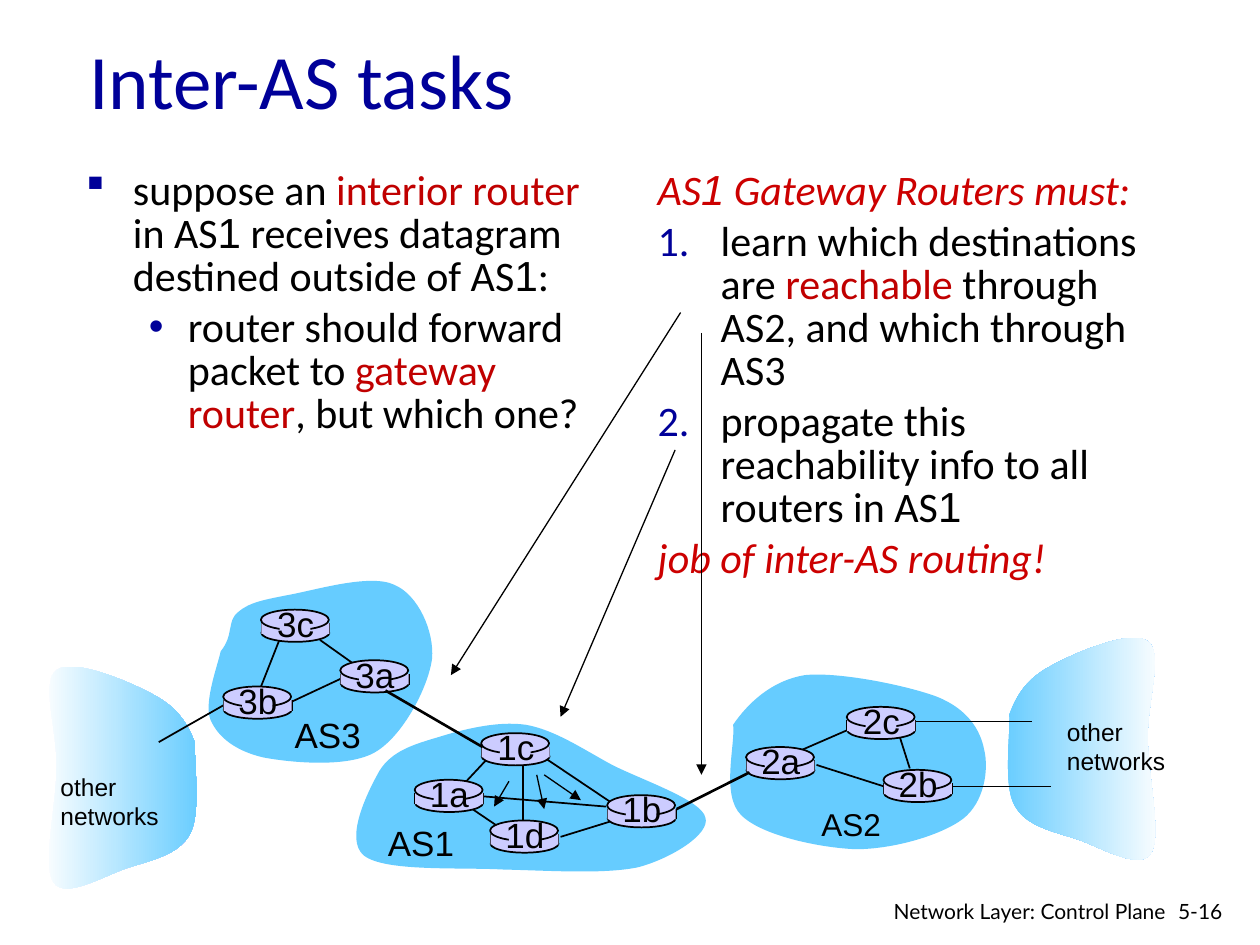
from lxml import etree
from pptx import Presentation
from pptx import util as u
from pptx.dml.color import RGBColor
from pptx.enum import shapes, text
from pptx.oxml.ns import qn

BLACK, NAVY, RED, CRIMSON = "000000", "000099", "C00000", "CC0000"
SKY, LILAC, WHITE = "66CCFF", "CCCCFF", "FFFFFF"

OTHER = [(20.35, 14.4), (20.5, 14), (20.7, 13.69), (21.16, 13.44),
         (21.62, 13.18), (22.81, 12.67), (23.14, 12.93),
         (23.47, 13.16), (23.11, 14.2), (23.14, 14.91),
         (23.14, 15.65), (23.44, 16.89), (23.19, 17.22),
         (22.96, 17.55), (22.17, 17.07), (21.72, 16.92),
         (21.23, 16.76), (20.68, 16.66), (20.45, 16.23),
         (20.22, 15.82), (20.37, 14.78), (20.35, 14.4)]
AS1 = [(7.65, 15.54), (7.9, 15.14), (8.33, 15.01), (8.84, 14.86),
       (9.32, 14.71), (10.01, 14.53), (10.59, 14.61),
       (11.18, 14.71), (11.73, 15.09), (12.34, 15.42),
       (12.93, 15.72), (14.15, 16.13), (14.22, 16.48),
       (14.33, 16.81), (13.54, 17.3), (12.88, 17.48),
       (12.19, 17.63), (11.07, 17.55), (10.16, 17.53),
       (9.25, 17.48), (7.77, 17.58), (7.34, 17.25),
       (6.93, 16.92), (7.42, 15.95), (7.65, 15.54)]
AS2 = [(14.78, 14.61), (15.06, 14.2), (15.54, 13.72), (16.23, 13.61),
       (16.92, 13.54), (18.29, 13.82), (18.9, 14.05),
       (19.51, 14.3), (19.76, 14.71), (19.84, 15.11),
       (19.94, 15.52), (19.84, 16.18), (19.41, 16.51),
       (18.97, 16.84), (18.01, 17.12), (17.25, 17.12),
       (16.51, 17.09), (15.34, 16.84), (14.94, 16.43),
       (14.53, 16.03), (14.83, 14.99), (14.78, 14.61)]
AS3 = [(4.45, 13.13), (4.72, 12.8), (4.57, 12.52), (4.8, 12.34),
       (5.03, 12.14), (5.33, 12.09), (5.84, 11.99),
       (6.38, 11.89), (7.47, 11.56), (7.95, 11.79),
       (8.43, 11.99), (8.76, 12.73), (8.71, 13.28),
       (8.64, 13.84), (8.13, 14.83), (7.57, 15.16),
       (7.01, 15.49), (5.84, 15.37), (5.31, 15.27),
       (4.75, 15.14), (4.39, 14.86), (4.24, 14.5),
       (4.11, 14.15), (4.39, 13.41), (4.45, 13.13)]

ROUTERS = {"3b": (4.5, 13.84), "3c": (5.26, 12.29), "3a": (6.86, 13.31),
           "1c": (9.7, 14.78), "1a": (8.36, 15.72), "1d": (9.88, 16.54),
           "1b": (12.24, 16.03), "2a": (15.04, 15.06), "2c": (17.07, 14.25),
           "2b": (17.81, 15.52)}
INNER_LINKS = [(5.87, 14.15, 6.96, 13.64), (7.14, 13.39, 6.45, 12.9),
               (5.64, 12.88, 5.23, 13.92), (9.83, 15.29, 9.4, 15.75),
               (10.54, 15.39, 10.54, 16.66), (10.97, 15.27, 12.37, 16.21),
               (12.37, 16.54, 11.3, 16.87), (12.22, 16.26, 9.7, 16.05),
               (9.45, 16.26, 10.01, 16.64), (15.95, 15.21, 17.17, 14.68),
               (16.46, 15.42, 17.81, 15.85), (18.14, 14.86, 18.34, 15.49),
               (4.5, 14.22, 3.2, 14.96)]
OUTER_LINKS = [(18.44, 14.55, 20.8, 14.55), (19.13, 15.85, 21.18, 15.85)]
GATEWAY_LINKS = [(13.64, 16.31, 15.11, 15.57), (7.77, 13.92, 9.73, 15.06)]
ARROWS = [(13.72, 6.3, 9.09, 13.61), (14.14, 6.71, 14.14, 15.62),
          (10.97, 15.62, 11.71, 16.13), (10.26, 15.75, 9.96, 16.26),
          (10.82, 15.62, 10.97, 16.31), (13.61, 9.07, 11.3, 14.45)]


def color(code):
    return RGBColor.from_string(code)


def style_span(span, size, font, code, italic=False):
    span.font.size, span.font.name = u.Pt(size), font
    span.font.color.rgb, span.font.italic = color(code), italic


def add_box(page, left, top, width, height, wrap=True):
    box = page.shapes.add_textbox(*map(u.Cm, (left, top, width, height)))
    box.text_frame.word_wrap = wrap
    if not wrap:
        box.text_frame.auto_size = text.MSO_AUTO_SIZE.SHAPE_TO_FIT_TEXT
    return box


def add_label(page, words, place, size, font="Arial", code=BLACK, align=None, wrap=False):
    box = add_box(page, *place, wrap)
    box.text_frame.text = words
    for para in box.text_frame.paragraphs:
        para.alignment = align
        style_span(para.runs[0], size, font, code)
    return box


def add_bullet(para, mark):
    props = para._p.get_or_add_pPr()
    tint = etree.SubElement(props, qn("a:buClr"))
    etree.SubElement(tint, qn("a:srgbClr")).set("val", NAVY)
    if mark == "1.":
        etree.SubElement(props, qn("a:buAutoNum")).set("type", "arabicPeriod")
    else:
        font = "Wingdings" if mark == "§" else "Arial"
        etree.SubElement(props, qn("a:buFont")).set("typeface", font)
        etree.SubElement(props, qn("a:buChar")).set("char", mark)


def add_body(page, place, items):
    frame = add_box(page, *place).text_frame
    for index, (mark, margin, hang, italic, spans) in enumerate(items):
        para = frame.add_paragraph() if index else frame.paragraphs[0]
        para.line_spacing = 0.85
        if index:
            para.space_before = u.Pt(4.8)
        props = para._p.get_or_add_pPr()
        props.set("marL", str(u.Cm(margin)))
        props.set("indent", str(-u.Cm(hang)))
        if mark:
            add_bullet(para, mark)
        for words, code in spans:
            span = para.add_run()
            span.text = words
            style_span(span, 24, "Arial" if words == "1" else "Calibri", code, italic)


def bend_segments(cloud):
    corners = list(cloud._element.iter(qn("a:lnTo")))
    for start in range(0, len(corners), 3):
        group = corners[start:start + 3]
        curve = etree.Element(qn("a:cubicBezTo"))
        group[0].addprevious(curve)
        for corner in group:
            curve.append(corner[0])
            corner.getparent().remove(corner)


def add_cloud(page, nodes, fade=None):
    points = [(u.Cm(x), u.Cm(y)) for x, y in nodes]
    builder = page.shapes.build_freeform(*points[0])
    builder.add_line_segments(points[1:], close=True)
    cloud = builder.convert_to_shape()
    bend_segments(cloud)
    cloud.shadow.inherit = False
    cloud.line.fill.background()
    if fade:
        cloud.fill.gradient()
        cloud.fill.gradient_angle = 0
        for stop, position, code in zip(cloud.fill.gradient_stops, (0, 1), fade):
            stop.position, stop.color.rgb = position, color(code)
    else:
        cloud.fill.solid()
        cloud.fill.fore_color.rgb = color(SKY)


def add_line(page, ends, width, arrow=False):
    line = page.shapes.add_connector(shapes.MSO_CONNECTOR.STRAIGHT, *map(u.Cm, ends))
    line.line.color.rgb, line.line.width = color(BLACK), u.Pt(width)
    if arrow:
        etree.SubElement(line.line._get_or_add_ln(), qn("a:tailEnd")).set("type", "triangle")
    etree.SubElement(line._element.spPr, qn("a:effectLst"))


def add_part(page, kind, place, outlined):
    part = page.shapes.add_shape(kind, *map(u.Cm, place))
    part.shadow.inherit = False
    part.fill.solid()
    part.fill.fore_color.rgb = color(LILAC)
    if outlined:
        part.line.color.rgb, part.line.width = color(BLACK), u.Pt(1)
    else:
        part.line.fill.background()


def add_router(page, name, x, y):
    oval, block = shapes.MSO_SHAPE.OVAL, shapes.MSO_SHAPE.RECTANGLE
    add_part(page, oval, (x + 0.01, y + 0.29, 1.37, 0.36), True)
    for side in (x + 0.01, x + 1.38):
        add_line(page, (side, y + 0.27, side, y + 0.49), 1)
    add_part(page, block, (x + 0.01, y + 0.27, 1.37, 0.22), False)
    add_part(page, oval, (x, y, 1.37, 0.41), True)
    add_part(page, block, (x + 0.38, y + 0.05, 0.62, 0.54), False)
    add_label(page, name, (x + 0.05, y - 0.27, 1.3, 1.09), 20, align=text.PP_ALIGN.CENTER)


def main():
    deck = Presentation()
    deck.slide_width, deck.slide_height = u.Cm(25.4), u.Cm(19.05)
    page = deck.slides.add_slide(deck.slide_layouts[6])

    title = add_label(page, "Inter-AS tasks", (1.55, 0, 21.59, 3.18), 44, "Calibri", NAVY, wrap=True)
    title.text_frame.vertical_anchor = text.MSO_ANCHOR.MIDDLE
    add_body(page, (1.48, 3.33, 10.59, 8.1), [
        ("§", 0.95, 0.95, False, [("suppose an ", BLACK), ("interior router", RED), (" in AS", BLACK),
                                  ("1", BLACK), (" receives datagram destined outside of AS", BLACK),
                                  ("1", BLACK), (":", BLACK)]),
        ("•", 2.06, 0.79, False, [("router should forward packet to ", BLACK), ("gateway router", RED),
                                  (", but which one?", BLACK)])])
    add_body(page, (13.01, 3.33, 10.59, 9.14), [
        (None, 1.27, 1.27, True, [("AS", CRIMSON), ("1", CRIMSON), (" Gateway Routers must:", CRIMSON)]),
        ("1.", 1.27, 1.27, False, [("learn which destinations are ", BLACK), ("reachable", RED),
                                   (" through AS2, and which through AS3", BLACK)]),
        ("1.", 1.27, 1.27, False, [("propagate this reachability info to all routers in AS", BLACK),
                                   ("1", BLACK)]),
        (None, 1.27, 1.27, True, [("job of inter-AS routing!", CRIMSON)])])

    add_cloud(page, OTHER, (SKY, WHITE))
    add_cloud(page, [(24.28 - x, y + 0.58) for x, y in OTHER], (WHITE, SKY))
    for nodes in (AS2, AS3, AS1):
        add_cloud(page, nodes)
    for links, width in ((INNER_LINKS, 1), (OUTER_LINKS, 0.75)):
        for ends in links:
            add_line(page, ends, width)
    for name, (x, y) in ROUTERS.items():
        add_router(page, name, x, y)
    for ends in GATEWAY_LINKS:
        add_line(page, ends, 1.5)

    for words, left, top, size in (("AS3", 5.69, 14.25, 20), ("AS1", 7.57, 16.43, 20),
                                   ("AS2", 16.31, 16.1, 18)):
        add_label(page, words, (left, top, 1.85, 1.09), size)
    for left, top in ((21.26, 14.33), (0.97, 15.44)):
        add_label(page, "other\nnetworks", (left, top, 2.49, 1.45), 14)
    add_label(page, "5-16", (23.5, 17.98, 1.52, 0.76), 12, "Lato", wrap=True)
    add_label(page, "Network Layer: Control Plane", (17.7, 17.98, 6.05, 0.66), 12, "Lato",
              align=text.PP_ALIGN.RIGHT, wrap=True)
    for ends in ARROWS:
        add_line(page, ends, 0.75, arrow=True)
    deck.save("out.pptx")


if __name__ == "__main__":
    main()
